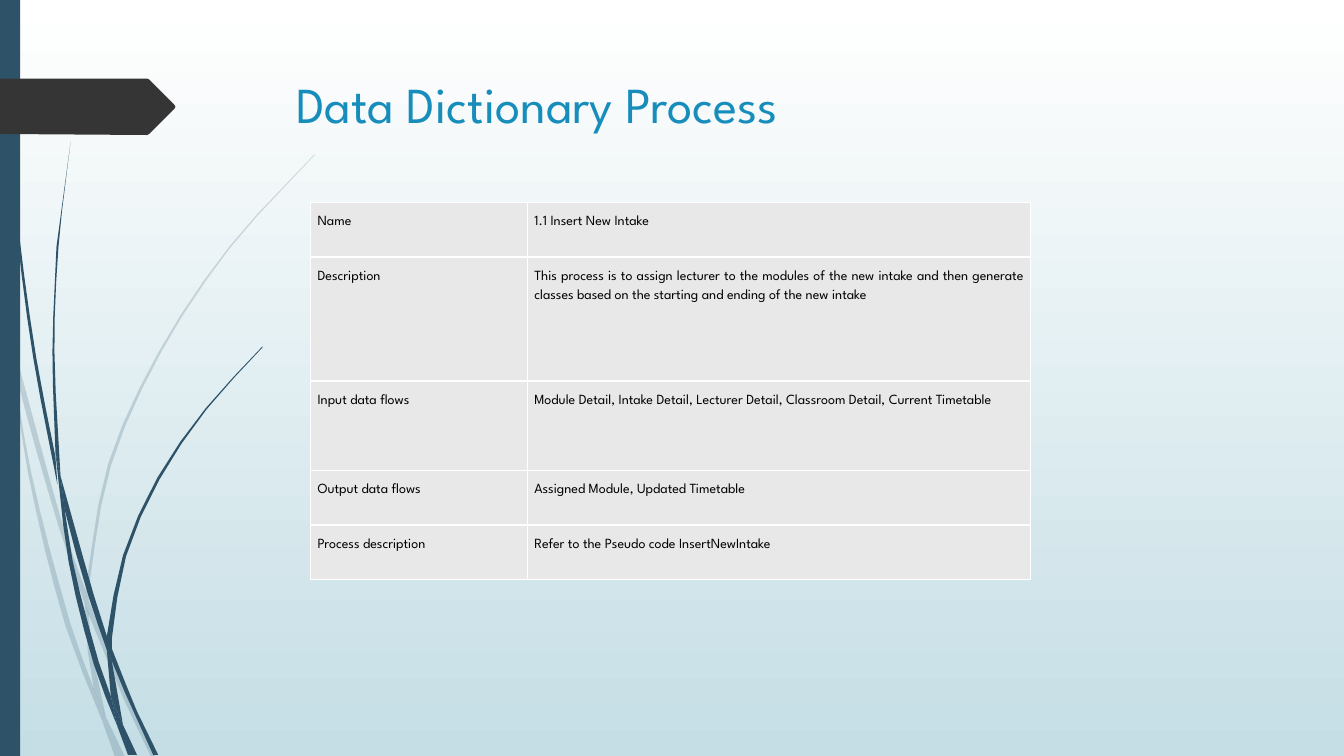
import math
from dataclasses import dataclass

import lxml.etree
import pptx
import pptx.dml.color
import pptx.enum.shapes
import pptx.enum.text
import pptx.oxml.ns
import pptx.shapes.autoshape
import pptx.slide
import pptx.table
import pptx.text.text
import pptx.util

Inches = pptx.util.Inches
Point = tuple[float, float]
Edge = list[Point]

FONT = "League Spartan"
NAVY = "2E5369"
CURVE_SPACING = 0.5


@dataclass(frozen=True)
class Outline:
    edges: list[Edge]
    color: str = NAVY
    opacity: int = 100


@dataclass(frozen=True)
class Entry:
    label: str
    value: str
    height: float


PALE_STEMS: list[list[Edge]] = [
    [[(0.11, 3.5), (0, 2.82)], [(0, 2.99)]],
    [[(0.14, 3.45), (0.17, 3.76), (0.58, 5.22), (0.84, 5.99)], [(0.85, 5.86), (0.62, 5.2), (0.14, 3.45)]],
    [[(0.88, 6.1), (1.23, 6.94), (1.5, 7.51)], [(1.55, 7.51), (1.27, 6.92), (0.88, 5.96)]],
    [[(0.11, 3.5), (0.28, 4.7), (0.65, 6.21), (1.01, 7.14)],
     [(0.93, 6.83), (0.7, 6.19), (0.31, 4.69), (0.11, 3.5)]],
    [[(0.84, 5.99), (0.87, 6.46), (0.93, 6.83), (1.05, 7.11)], [(0.91, 6.46), (0.88, 6.08)]],
    [[(0.84, 5.99), (0.85, 5.84), (1.07, 4.61), (1.58, 3.48), (2.28, 2.44), (3.12, 1.53)],
     [(3.12, 1.54), (2.29, 2.45), (1.6, 3.49), (1.1, 4.62), (0.88, 5.84), (0.88, 6.1)]],
    [[(0.93, 6.83), (1.01, 7.14), (1.14, 7.51)], [(1.24, 7.51), (1.05, 7.11), (0.93, 6.83)]],
]

DARK_STEMS: list[list[Edge]] = [
    [[(0.03, 0), (0.07, 1.1), (0.17, 2.33), (0.33, 3.55), (0.57, 4.81)],
     [(0.55, 4.53), (0.36, 3.55), (0.19, 2.32), (0.08, 1.09), (0.04, 0)]],
    [[(0.6, 4.72), (0.64, 5.05), (0.88, 5.92), (1.06, 6.45)], [(1.06, 6.31), (0.93, 5.9), (0.6, 4.72)]],
    [[(1.1, 6.41), (1.11, 6.56), (1.52, 7.49)], [(1.57, 7.49), (1.36, 7.06), (1.1, 6.41)]],
    [[(0.55, 4.49), (0.68, 5.57), (0.93, 6.59), (1.17, 7.22)],
     [(1.1, 6.91), (0.98, 6.57), (0.72, 5.56), (0.6, 4.72)]],
    [[(0.6, 4.72), (0.54, 3.49), (0.58, 2.45), (0.7, 1.41)], [(0.56, 2.45), (0.52, 3.49), (0.55, 4.49)]],
    [[(1.06, 6.45), (1.06, 6.31), (1.22, 5.51), (1.56, 4.74), (2.04, 4.05), (2.6, 3.44)],
     [(2.61, 3.44), (2.05, 4.06), (1.58, 4.76), (1.25, 5.52), (1.11, 6.33), (1.11, 6.56)]],
    [[(1.06, 6.45), (1.1, 6.91), (1.22, 7.19)], [(1.11, 6.56)]],
    [[(1.1, 6.91), (1.17, 7.22), (1.27, 7.49)], [(1.36, 7.49), (1.22, 7.19), (1.1, 6.91)]],
]

ARROW_CORNERS: Edge = [
    (0, 0.78), (1.46, 0.78), (1.48, 0.79), (1.73, 1.04), (1.74, 1.06),
    (1.73, 1.08), (1.48, 1.33), (1.46, 1.34), (0, 1.33),
]

ENTRIES = [
    Entry("Name", "1.1 Insert New Intake", 0.54),
    Entry("Description", "This process is to assign lecturer to the modules of the new intake and then generate "
          "classes based on the starting and ending of the new intake", 1.23),
    Entry("Input data flows",
          "Module Detail, Intake Detail, Lecturer Detail, Classroom Detail, Current Timetable", 0.89),
    Entry("Output data flows", "Assigned Module, Updated Timetable", 0.54),
    Entry("Process description", "Refer to the Pseudo code InsertNewIntake", 0.54),
]


def rgb(color: str) -> pptx.dml.color.RGBColor:
    return pptx.dml.color.RGBColor.from_string(color)


def write_text(frame: pptx.text.text.TextFrame, text: str, *, size: float, color: str,
               align: pptx.enum.text.PP_ALIGN, line_spacing: float = 1.0, space_after: float = 0) -> None:
    frame.word_wrap = True
    paragraph = frame.paragraphs[0]
    paragraph.alignment = align
    paragraph.line_spacing = line_spacing
    paragraph.space_after = pptx.util.Pt(space_after)
    run = paragraph.add_run()
    run.text = text
    run.font.name = FONT
    run.font.size = pptx.util.Pt(size)
    run.font.color.rgb = rgb(color)


def paint(shape: pptx.shapes.autoshape.Shape, color: str, opacity: int = 100) -> None:
    shape.shadow.inherit = False
    shape.line.fill.background()
    shape.fill.solid()
    shape.fill.fore_color.rgb = rgb(color)
    if opacity < 100:
        color_element = shape.fill._xPr.find(".//" + pptx.oxml.ns.qn("a:srgbClr"))
        lxml.etree.SubElement(color_element, pptx.oxml.ns.qn("a:alpha"), val=str(opacity * 1000))


def slope(edge: Edge, index: int) -> Point:
    before, after = edge[max(index - 1, 0)], edge[min(index + 1, len(edge) - 1)]
    length = math.dist(before, edge[index]) + math.dist(edge[index], after)
    return (after[0] - before[0]) / length, (after[1] - before[1]) / length


def smooth(edge: Edge) -> Edge:
    points = [edge[0]]
    for index, (start, end) in enumerate(zip(edge, edge[1:])):
        length = math.dist(start, end)
        leaving, arriving = slope(edge, index), slope(edge, index + 1)
        steps = math.ceil(length / CURVE_SPACING)
        for step in range(1, steps + 1):
            t = step / steps
            blend = t * t * (3 - 2 * t)
            out_weight, in_weight = length * t * (1 - t) ** 2, length * t * t * (t - 1)
            points.append((
                start[0] + (end[0] - start[0]) * blend + leaving[0] * out_weight + arriving[0] * in_weight,
                start[1] + (end[1] - start[1]) * blend + leaving[1] * out_weight + arriving[1] * in_weight,
            ))
    return points


def draw_outline(slide: pptx.slide.Slide, outline: Outline) -> None:
    points = [(Inches(x), Inches(y)) for edge in outline.edges for x, y in smooth(edge)]
    builder = slide.shapes.build_freeform(*points[0])
    builder.add_line_segments(points[1:], close=True)
    paint(builder.convert_to_shape(), outline.color, outline.opacity)


def format_cell(cell: pptx.table._Cell, text: str) -> None:
    cell.margin_left = cell.margin_right = cell.margin_top = cell.margin_bottom = Inches(0.07)
    write_text(cell.text_frame, text, size=10, color="000000", align=pptx.enum.text.PP_ALIGN.JUSTIFY,
               line_spacing=1.5, space_after=6)
    properties = cell._tc.get_or_add_tcPr()
    for side in ("lnL", "lnR", "lnT", "lnB"):
        border = lxml.etree.SubElement(properties, pptx.oxml.ns.qn(f"a:{side}"), w=str(pptx.util.Pt(1)))
        fill = lxml.etree.SubElement(border, pptx.oxml.ns.qn("a:solidFill"))
        lxml.etree.SubElement(fill, pptx.oxml.ns.qn("a:srgbClr"), val="FFFFFF")
    cell.fill.solid()
    cell.fill.fore_color.rgb = rgb("E8E8E8")


def draw_table(slide: pptx.slide.Slide, entries: list[Entry]) -> None:
    height = sum(entry.height for entry in entries)
    table = slide.shapes.add_table(len(entries), 2, Inches(3.08), Inches(2.01), Inches(7.14), Inches(height)).table
    table.first_row = table.horz_banding = False
    for column, width in zip(table.columns, (2.15, 4.99)):
        column.width = Inches(width)
    for index, entry in enumerate(entries):
        table.rows[index].height = Inches(entry.height)
        format_cell(table.cell(index, 0), entry.label)
        format_cell(table.cell(index, 1), entry.value)


def draw_background(slide: pptx.slide.Slide) -> None:
    fill = slide.background.fill
    fill.gradient()
    fill.gradient_angle = 270
    for stop, color, position in zip(fill.gradient_stops, ("FFFFFF", "C5DEE5"), (0, 1)):
        stop.color.rgb = rgb(color)
        stop.position = position


def main() -> None:
    presentation = pptx.Presentation()
    presentation.slide_width, presentation.slide_height = Inches(13.33), Inches(7.5)
    slide = presentation.slides.add_slide(presentation.slide_layouts[5])
    draw_background(slide)
    for edges in PALE_STEMS:
        draw_outline(slide, Outline(edges, opacity=20))
    for edges in DARK_STEMS:
        draw_outline(slide, Outline(edges))
    side_bar = slide.shapes.add_shape(pptx.enum.shapes.MSO_SHAPE.RECTANGLE, 0, 0, Inches(0.2), Inches(7.5))
    paint(side_bar, NAVY)
    draw_outline(slide, Outline([[corner] for corner in ARROW_CORNERS], "353535"))

    title = slide.shapes.title
    title.left, title.top, title.width, title.height = Inches(2.84), Inches(0.68), Inches(9.75), Inches(1.4)
    title.text_frame.vertical_anchor = pptx.enum.text.MSO_ANCHOR.TOP
    write_text(title.text_frame, "Data Dictionary Process", size=36, color="178DBB",
               align=pptx.enum.text.PP_ALIGN.LEFT)
    draw_table(slide, ENTRIES)
    presentation.save("out.pptx")


if __name__ == "__main__":
    main()
